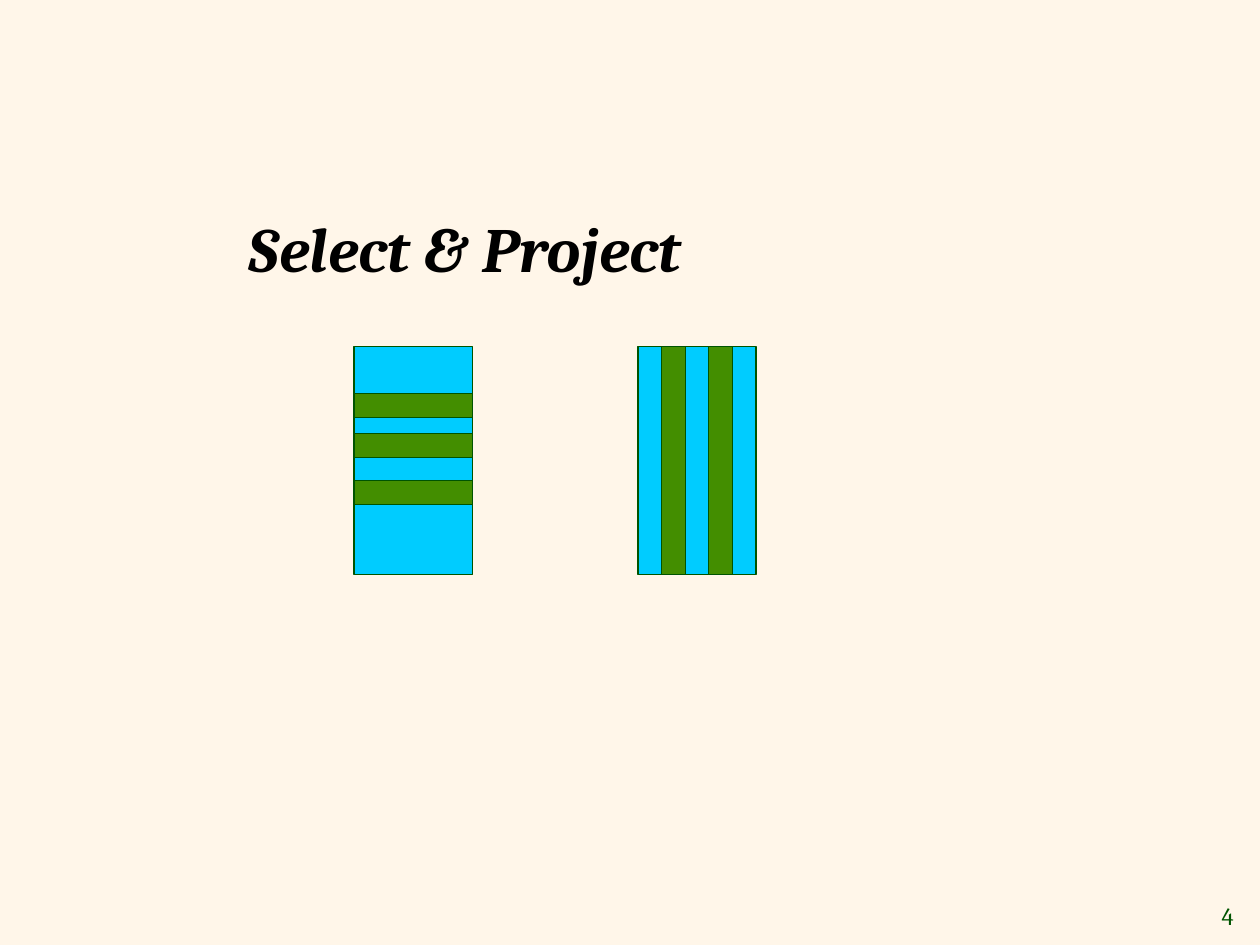
from pptx import Presentation
from pptx.dml.color import RGBColor
from pptx.enum.shapes import MSO_SHAPE
from pptx.enum.text import MSO_ANCHOR, MSO_AUTO_SIZE, PP_ALIGN
from pptx.util import Cm, Pt

COLORS = {
    "background": "FFF6E9",
    "title": "000000",
    "relation": "00CCFF",
    "band": "438E00",
    "outline": "005400",
}
FONT = "Cambria"
BAND = 0.48


def color(name):
    return RGBColor.from_string(COLORS[name])


def write(shape, text, size, color_name, align, wrap, bold=False, italic=False):
    frame = shape.text_frame
    frame.text = text
    frame.word_wrap = wrap
    frame.vertical_anchor = MSO_ANCHOR.MIDDLE
    para = frame.paragraphs[0]
    para.alignment = align
    para.font.name = FONT
    para.font.size = Pt(size)
    para.font.bold = bold
    para.font.italic = italic
    para.font.color.rgb = color(color_name)
    return frame


def place_title(page, left, top, width, height):
    title = page.shapes.title
    title.left, title.top = Cm(left), Cm(top)
    title.width, title.height = Cm(width), Cm(height)
    frame = write(title, "Select & Project", 36, "title", PP_ALIGN.LEFT, True,
                  bold=True, italic=True)
    frame.auto_size = MSO_AUTO_SIZE.NONE


def add_page_number(page, left, top, width, height):
    box = page.shapes.add_textbox(Cm(left), Cm(top), Cm(width), Cm(height))
    frame = write(box, "4", 14, "outline", PP_ALIGN.RIGHT, False)
    frame.auto_size = MSO_AUTO_SIZE.SHAPE_TO_FIT_TEXT


def add_block(page, left, top, width, height, fill):
    block = page.shapes.add_shape(
        MSO_SHAPE.RECTANGLE, Cm(left), Cm(top), Cm(width), Cm(height))
    block.shadow.inherit = False
    block.fill.solid()
    block.fill.fore_color.rgb = color(fill)
    block.line.color.rgb = color("outline")
    block.line.width = Pt(0.75)


def add_selection(page, left, top, width, height):
    add_block(page, left, top, width, height, "relation")
    for offset in (0.95, 1.75, 2.7):
        add_block(page, left, top + offset, width, BAND, "band")


def add_projection(page, left, top, width, height):
    add_block(page, left, top, width, height, "relation")
    for column in (1, 3):
        add_block(page, left + column * width / 5, top, BAND, height, "band")


def main():
    deck = Presentation()
    deck.slide_width, deck.slide_height = Cm(25.4), Cm(19.05)
    page = deck.slides.add_slide(deck.slide_layouts[5])
    page.background.fill.solid()
    page.background.fill.fore_color.rgb = color("background")

    add_page_number(page, 24, 18.03, 1.12, 0.84)
    place_title(page, 4.76, 4.13, 17.02, 1.72)
    add_selection(page, 7.14, 6.99, 2.38, 4.6)
    add_projection(page, 12.86, 6.99, 2.38, 4.6)
    deck.save("out.pptx")


if __name__ == "__main__":
    main()
